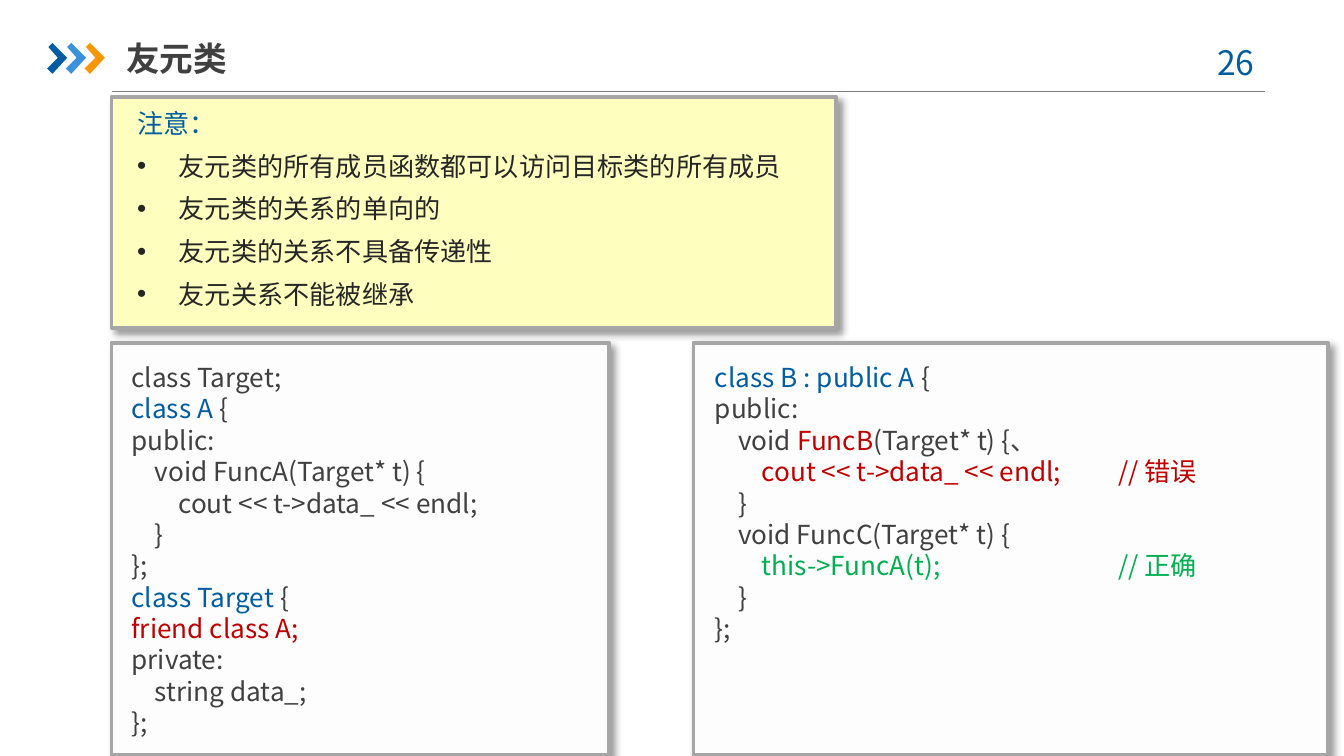
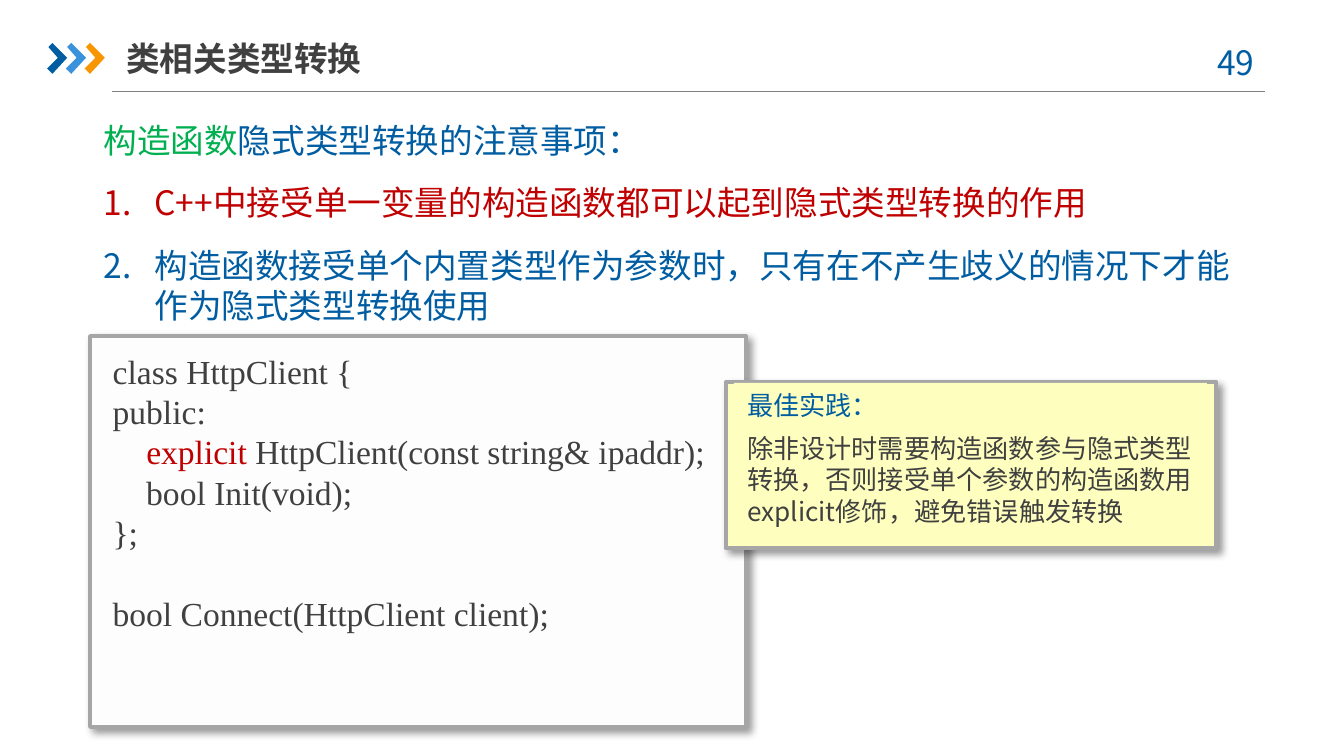
from lxml import etree
from pptx import Presentation
from pptx.dml.color import RGBColor
from pptx.enum.shapes import MSO_CONNECTOR, MSO_SHAPE
from pptx.enum.text import MSO_ANCHOR, MSO_AUTO_SIZE, PP_ALIGN
from pptx.oxml.ns import qn
from pptx.util import Inches, Pt

BLUE = RGBColor(0x00, 0x5D, 0xA2)
SKY = RGBColor(0x39, 0x92, 0xDB)
ORANGE = RGBColor(0xF7, 0x96, 0x00)
GREY = RGBColor(0x40, 0x40, 0x40)
DARK = RGBColor(0x26, 0x26, 0x26)
RED = RGBColor(0xC0, 0x00, 0x00)
GREEN = RGBColor(0x00, 0xB0, 0x50)
RULE = RGBColor(0x80, 0x80, 0x80)
EDGE = RGBColor(0xA6, 0xA6, 0xA6)
PAPER = RGBColor(0xFD, 0xFD, 0xFD)
CREAM = RGBColor(0xFE, 0xFF, 0xBE)
SANS = "Noto Sans CJK SC"
SERIF = "Times New Roman"
RECT = MSO_SHAPE.RECTANGLE
STRAIGHT = MSO_CONNECTOR.STRAIGHT
LEFT, CENTER = PP_ALIGN.LEFT, PP_ALIGN.CENTER
TOP, MIDDLE = MSO_ANCHOR.TOP, MSO_ANCHOR.MIDDLE
NO_FIT = MSO_AUTO_SIZE.NONE
DOT = ("a:buChar", "char", "•", 0.31)
NUM = ("a:buAutoNum", "type", "arabicPeriod", 0.38)

TARGET = [
    [("class Target;", GREY)],
    [("class A ", BLUE), ("{", GREY)],
    [("public:", GREY)],
    [("    void FuncA(Target* t) {", GREY)],
    [("        cout << t->data_ << endl;", GREY)],
    [("    }", GREY)],
    [("};", GREY)],
    [("class Target ", BLUE), ("{", GREY)],
    [("friend class A;", RED)],
    [("private:", GREY)],
    [("    string data_;", GREY)],
    [("};", GREY)],
]
DERIVED = [
    [("class B : public A ", BLUE), ("{", GREY)],
    [("public:", GREY)],
    [("    void ", GREY), ("FuncB", RED), ("(Target* t) {、", GREY)],
    [("        ", GREY), ("cout << t->data_ << endl;\t// 错误", RED)],
    [("    }", GREY)],
    [("    void FuncC(Target* t) {", GREY)],
    [("        this->FuncA(t);\t\t// 正确", GREEN)],
    [("    }", GREY)],
    [("};", GREY)],
]
CLIENT = [
    [("class HttpClient {", GREY)],
    [("public:", GREY)],
    [("    ", GREY), ("explicit ", RED),
     ("HttpClient(const string& ipaddr);", GREY)],
    [("    bool Init(void);", GREY)],
    [("};", GREY)],
    [],
    [("bool Connect(HttpClient client);", GREY)],
]
NOTES = [
    [("注意：", BLUE)],
    [("友元类的所有成员函数都可以访问目标类的所有成员", DARK)],
    [("友元类的关系的单向的", DARK)],
    [("友元类的关系不具备传递性", DARK)],
    [("友元关系不能被继承", DARK)],
]
CASTS = [
    [("构造函数", GREEN), ("隐式类型转换的注意事项：", BLUE)],
    [("C++中接受单一变量的构造函数都可以起到隐式类型转换的作用", RED)],
    [("构造函数接受单个内置类型作为参数时，只有在不产生歧义的情况下才能作为隐式类型转换使用", BLUE)],
]
ADVICE = [
    [("最佳实践：", BLUE)],
    [("除非设计时需要构造函数参与隐式类型转换，否则接受单个参数的构造函数用explicit修饰，避免错误触发转换", GREY)],
]


def place(shape, box):
    """Move a shape to a box given in inches."""
    shape.left, shape.top, shape.width, shape.height = map(Inches, box)


def add_run(para, text, color, size, font, bold):
    """Add one formatted run."""
    run = para.add_run()
    run.text = text
    run.font.size, run.font.name, run.font.bold = Pt(size), font, bold
    run.font.color.rgb = color
    east = etree.Element(qn("a:ea"), typeface=font)
    run.font._element.find(qn("a:latin")).addnext(east)


def mark_para(para, mark):
    """Set the bullet, hanging indent and tab width of a paragraph."""
    props = para._p.get_or_add_pPr()
    hang = Inches(mark[3]) if mark else 0
    props.set("marL", str(hang))
    props.set("indent", str(-hang))
    props.set("defTabSz", str(Inches(1)))
    if mark:
        etree.SubElement(props, qn(mark[0])).set(mark[1], mark[2])
    else:
        etree.SubElement(props, qn("a:buNone"))


def write(shape, paras, size, font=SANS, after=0, mark=None,
          align=LEFT, anchor=TOP, bold=False, side=0.1):
    """Fill a shape with paragraphs; an empty one becomes a one-line gap."""
    frame = shape.text_frame
    frame.word_wrap, frame.auto_size = True, NO_FIT
    frame.vertical_anchor = anchor
    frame.margin_left = frame.margin_right = Inches(side)
    frame.margin_top = frame.margin_bottom = Inches(0.05)
    pitch, gap = size * 1.2, 0
    for i, runs in enumerate(paras):
        if not runs:
            gap = pitch
            continue
        para = frame.add_paragraph() if i else frame.paragraphs[0]
        mark_para(para, mark if i else None)
        para.alignment, para.line_spacing = align, Pt(pitch)
        para.space_before, para.space_after = Pt(gap), Pt(after)
        gap = 0
        for text, color in runs:
            add_run(para, text, color, size, font, bold)


def add_rect(slide, box, fill):
    """Add a plain rectangle without a line."""
    rect = slide.shapes.add_shape(RECT, *map(Inches, box))
    rect.shadow.inherit = False
    rect.fill.solid()
    rect.fill.fore_color.rgb = fill
    rect.line.fill.background()
    return rect


def add_card(slide, box, fill):
    """Add a framed card with a soft shadow."""
    card = add_rect(slide, box, fill)
    card.line.color.rgb, card.line.width = EDGE, Pt(2)
    effects = card.element.spPr.find(qn("a:effectLst"))
    shade = etree.SubElement(
        effects, qn("a:outerShdw"), blurRad=str(Pt(4)), dist=str(Pt(3)),
        dir=str(45 * 60000), algn="tl", rotWithShape="0")
    black = etree.SubElement(shade, qn("a:srgbClr"), val="000000")
    etree.SubElement(black, qn("a:alpha"), val="40000")


def add_panel(slide, box, pad, fill, paras, size, **style):
    """Add a card with text; pad is the text's offset and size inside it."""
    add_card(slide, box, fill)
    x, y, w, h = pad
    inner = add_rect(slide, (box[0] + x, box[1] + y, w, h), fill)
    write(inner, paras, size, **style)


def add_arrow(slide, x, y, color):
    """Draw one chevron from its top left corner."""
    pts = [(Inches(x + dx), Inches(y + dy)) for dx, dy in (
        (0.01, 0.03), (0.04, 0), (0.15, 0.11), (0.04, 0.23),
        (0, 0.19), (0.08, 0.11))]
    form = slide.shapes.build_freeform(*pts[0])
    form.add_line_segments(pts[1:], close=True)
    arrow = form.convert_to_shape()
    arrow.shadow.inherit = False
    arrow.fill.solid()
    arrow.fill.fore_color.rgb = color
    arrow.line.fill.background()


def add_head(slide, title, width, page):
    """Add the rule, chevrons, page number and title."""
    rule = slide.shapes.add_connector(
        STRAIGHT, *map(Inches, (0.83, 0.68, 9.41, 0.68)))
    rule.line.color.rgb, rule.line.width = RULE, Pt(0.75)
    etree.SubElement(rule.element.spPr, qn("a:effectLst"))
    for i, color in enumerate((BLUE, SKY, ORANGE)):
        add_arrow(slide, 0.35 + 0.14 * i, 0.32, color)
    num = slide.shapes.add_textbox(*map(Inches, (8.86, 0.26, 0.73, 0.4)))
    write(num, [[(f"{page} ", BLUE)]], 18, align=CENTER)
    head = slide.shapes.title
    place(head, (0.94, 0.22, width, 0.42))
    write(head, [[(title, GREY)]], 18, anchor=MIDDLE, bold=True, side=0)


def add_list(slide, box, paras, size, after, mark):
    """Put a list in the body placeholder, above what is drawn so far."""
    body = slide.placeholders[1]
    place(body, box)
    write(body, paras, size, after=after, mark=mark)
    body.element.getparent().append(body.element)


def friend_slide(deck):
    """Build the slide on friend classes."""
    slide = deck.slides.add_slide(deck.slide_layouts[1])
    add_head(slide, "友元类", 2.96, 26)
    add_panel(slide, (0.83, 2.55, 3.7, 3.07), (0.05, 0.09, 3.59, 2.93),
              PAPER, TARGET, 14)
    add_card(slide, (0.83, 0.72, 5.39, 1.72), CREAM)
    add_list(slide, (0.92, 0.75, 5.21, 1.62), NOTES, 14, 6, DOT)
    add_panel(slide, (5.16, 2.55, 4.72, 3.07), (0.06, 0.09, 4.58, 2.22),
              PAPER, DERIVED, 14)


def cast_slide(deck):
    """Build the slide on implicit conversion."""
    slide = deck.slides.add_slide(deck.slide_layouts[1])
    add_head(slide, "类相关类型转换", 2.33, 49)
    add_list(slide, (0.67, 0.84, 8.66, 2.73), CASTS, 18, 12, NUM)
    add_panel(slide, (0.67, 2.5, 4.88, 2.91), (0.07, 0.06, 4.74, 2.22),
              PAPER, CLIENT, 18, font=SERIF)
    add_panel(slide, (5.4, 2.84, 3.65, 1.24), (0.06, 0.01, 3.52, 1.13),
              CREAM, ADVICE, 14, after=6)


def main():
    """Build and save the deck."""
    deck = Presentation()
    deck.slide_width = Inches(10)
    deck.slide_height = deck.slide_width * 9 // 16
    friend_slide(deck)
    cast_slide(deck)
    deck.save("out.pptx")


if __name__ == "__main__":
    main()
